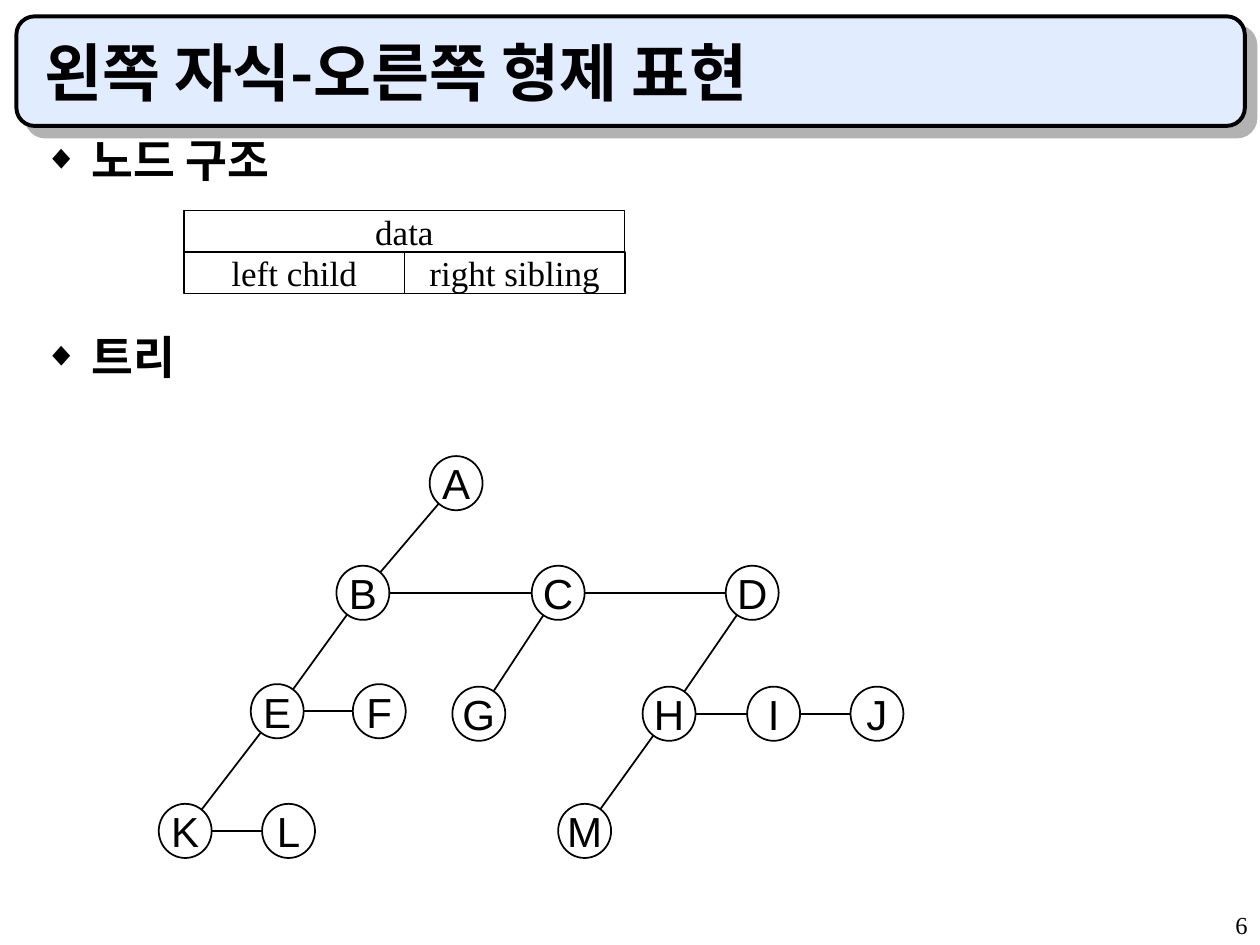
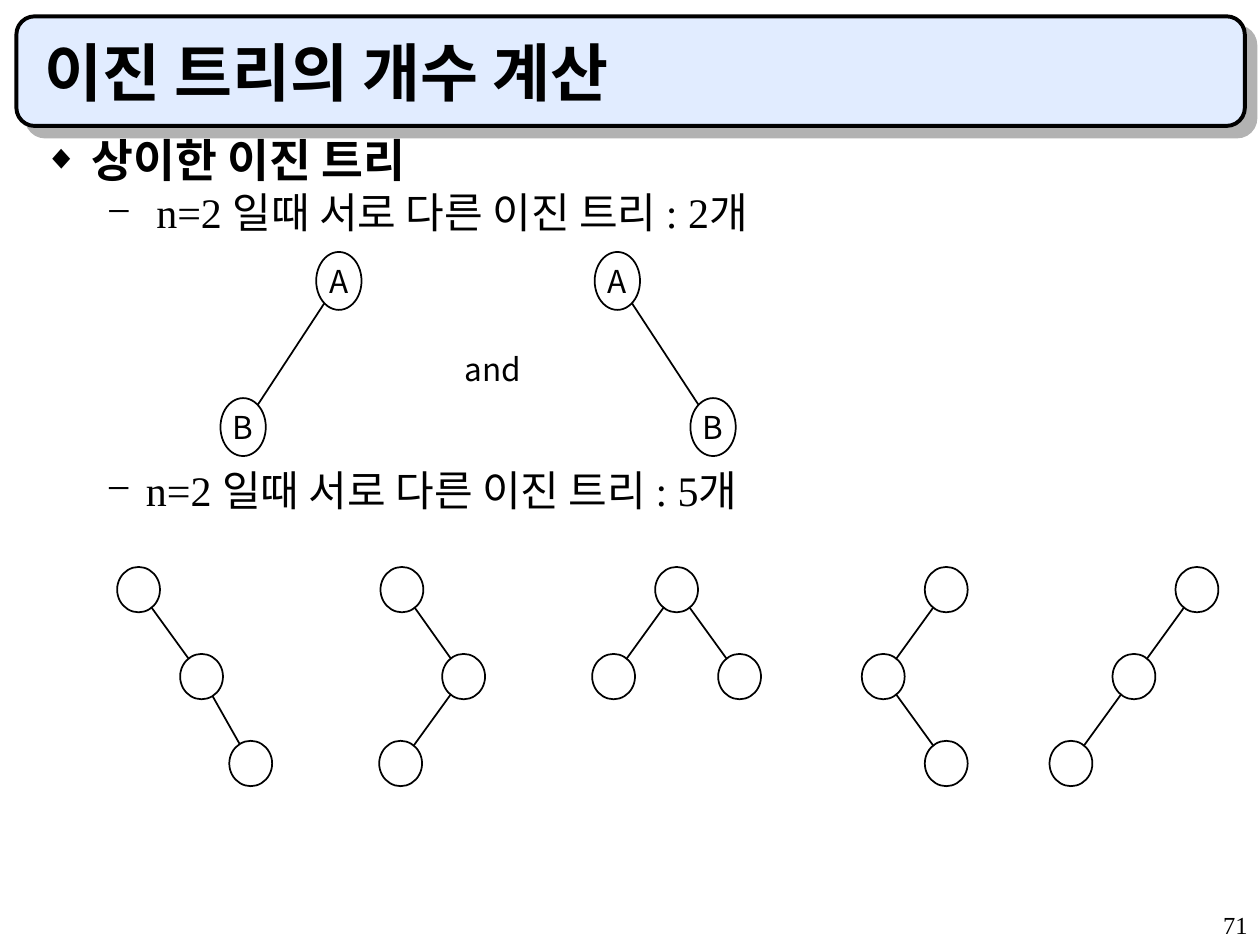
from dataclasses import dataclass
from math import hypot

from lxml.etree import SubElement
from pptx import Presentation
from pptx.dml.color import RGBColor
from pptx.enum.shapes import MSO_CONNECTOR as Connector, MSO_SHAPE as Preset
from pptx.enum.text import MSO_ANCHOR as Anchor, MSO_AUTO_SIZE as AutoSize, PP_ALIGN as Align
from pptx.oxml.ns import qn
from pptx.util import Inches, Pt


@dataclass(frozen=True)
class Theme:
    ink: str = "000000"
    paper: str = "FFFFFF"
    band: str = "E1ECFF"
    shadow: str = "B2B2B2"
    sans: str = "Noto Sans CJK KR"
    serif: str = "Times New Roman"
    tree_font: str = "Arial"
    title_size: int = 36
    topic_size: int = 26
    detail_size: int = 24
    field_size: int = 20
    label_size: int = 18
    number_size: int = 14


class Deck:
    def __init__(self, theme):
        self.theme = theme
        self.prs = Presentation()
        self.prs.slide_width, self.prs.slide_height = Inches(10), Inches(7.5)
        self.layout = self.prs.slide_layouts[1]
        self.slide = None

    def start(self, title, number):
        first = self.slide is None
        self.slide = self.prs.slides.add_slide(self.layout)
        if first:
            self.band()
        heading = self.slide.shapes.title
        self.place(heading, 0.25, 0.25, 9.42, 0.67)
        frame = heading.text_frame
        frame.auto_size, frame.vertical_anchor = AutoSize.NONE, Anchor.BOTTOM
        frame.paragraphs[0].alignment = Align.LEFT
        self.run(frame.paragraphs[0], title, self.theme.title_size, self.theme.sans, bold=True)
        self.label(number, (7.92, 7.17, 2.08, 0.33), self.theme.number_size,
                   self.theme.serif, Align.RIGHT)

    def band(self):
        band = self.shape(Preset.ROUNDED_RECTANGLE, (0.13, 0.13, 9.75, 0.87), 2.25, self.theme.band)
        effects = band.element.spPr.find(qn("a:effectLst"))
        shadow = SubElement(effects, qn("a:outerShdw"), dist=str(Pt(8.5)), dir="2700000",
                            algn="tl", rotWithShape="0")
        SubElement(shadow, qn("a:srgbClr"), val=self.theme.shadow)
        self.layout.shapes.element.insert(2, band.element)

    @staticmethod
    def place(shape, left, top, width, height):
        shape.left, shape.top = Inches(left), Inches(top)
        shape.width, shape.height = Inches(width), Inches(height)

    def run(self, paragraph, text, size, font, bold=False):
        run = paragraph.add_run()
        run.text = text
        run.font.size, run.font.bold, run.font.name = Pt(size), bold, font
        run.font.color.rgb = RGBColor.from_string(self.theme.ink)
        SubElement(run.font._element, qn("a:ea"), typeface=self.theme.sans)

    def bullet(self, paragraph, mark, margin, hanging, percent=100):
        props = paragraph._p.get_or_add_pPr()
        props.set("marL", str(Inches(margin)))
        props.set("indent", str(-Inches(hanging)))
        color = SubElement(props, qn("a:buClr"))
        SubElement(color, qn("a:srgbClr"), val=self.theme.ink)
        SubElement(props, qn("a:buSzPct"), val=str(percent * 1000))
        SubElement(props, qn("a:buFont"), typeface=self.theme.serif)
        SubElement(props, qn("a:buChar"), char=mark)

    def body(self, height):
        outline = self.slide.placeholders[1]
        self.place(outline, 0.25, 1.08, 9.42, height)
        outline.text_frame.auto_size = AutoSize.NONE
        return outline.text_frame

    def topic(self, paragraph, text, before=0):
        self.bullet(paragraph, "◆", 0.38, 0.38, 75)
        paragraph.line_spacing, paragraph.space_before = 0.8, Pt(before)
        self.run(paragraph, text, self.theme.topic_size, self.theme.serif, bold=True)

    def detail(self, paragraph, text, margin, hanging, spacing, before=0):
        paragraph.level = 1
        self.bullet(paragraph, "−", margin, hanging)
        paragraph.line_spacing, paragraph.space_before = spacing, Pt(before)
        self.run(paragraph, text, self.theme.detail_size, self.theme.serif)

    def text_box(self, bounds, wrap=True):
        frame = self.slide.shapes.add_textbox(*map(Inches, bounds)).text_frame
        frame.word_wrap = wrap
        return frame

    def label(self, text, bounds, size, font, align=Align.LEFT, wrap=True):
        paragraph = self.text_box(bounds, wrap).paragraphs[0]
        paragraph.alignment = align
        self.run(paragraph, text, size, font)

    def shape(self, preset, bounds, weight, fill=None):
        shape = self.slide.shapes.add_shape(preset, *map(Inches, bounds))
        shape.shadow.inherit = False
        if fill:
            shape.fill.solid()
            shape.fill.fore_color.rgb = RGBColor.from_string(fill)
        else:
            shape.fill.background()
        shape.line.color.rgb = RGBColor.from_string(self.theme.ink)
        shape.line.width = Pt(weight)
        return shape

    def caption(self, shape, text, size, font):
        frame = shape.text_frame
        frame.word_wrap, frame.vertical_anchor = False, Anchor.MIDDLE
        frame.paragraphs[0].alignment = Align.CENTER
        self.run(frame.paragraphs[0], text, size, font)

    def field(self, text, left, top, width):
        cell = self.shape(Preset.RECTANGLE, (left, top, width, 0.33), 0.75, self.theme.paper)
        self.caption(cell, text, self.theme.field_size, self.theme.serif)

    def line(self, start, end):
        line = self.slide.shapes.add_connector(Connector.STRAIGHT, *map(Inches, (*start, *end)))
        line.line.color.rgb = RGBColor.from_string(self.theme.ink)
        line.line.width = Pt(1)
        SubElement(line.element.spPr, qn("a:effectLst"))

    def tree(self, nodes, links, node_size, text_size=None, font=None):
        width, height = node_size
        for name, (left, top) in nodes.items():
            node = self.shape(Preset.OVAL, (left, top, width, height), 1)
            if text_size:
                self.caption(node, name, text_size, font)
        for upper, lower in links:
            (x1, y1), (x2, y2) = nodes[upper], nodes[lower]
            dx, dy = x2 - x1, y2 - y1
            reach = 1 / hypot(2 * dx / width, 2 * dy / height)
            x1, x2 = x1 + width / 2, x2 + width / 2
            y1, y2 = y1 + height / 2, y2 + height / 2
            self.line((x1 + dx * reach, y1 + dy * reach), (x2 - dx * reach, y2 - dy * reach))


def sibling_slide(deck):
    theme = deck.theme
    deck.start("왼쪽 자식-오른쪽 형제 표현", "6")
    outline = deck.body(5.9)
    deck.topic(outline.paragraphs[0], "노드 구조")
    deck.topic(outline.add_paragraph(), "트리", before=88)

    deck.field("data", 1.46, 1.67, 3.5)
    deck.field("left child", 1.46, 2, 1.75)
    deck.field("right sibling", 3.21, 2, 1.75)

    levels = [
        (3.62, {"A": 3.41}),
        (4.49, {"B": 2.67, "C": 4.22, "D": 5.76}),
        (5.43, {"E": 1.99, "F": 2.8}),
        (5.45, {"G": 3.59, "H": 5.1, "I": 5.93, "J": 6.75}),
        (6.38, {"K": 1.26, "L": 2.08, "M": 4.43}),
    ]
    nodes = {name: (left, top) for top, row in levels for name, left in row.items()}
    links = "AB BE EK BC EF CG CD DH HM HI IJ KL".split()
    deck.tree(nodes, links, (0.42, 0.43), theme.detail_size, theme.tree_font)


def counting_slide(deck):
    theme = deck.theme
    deck.start("이진 트리의 개수 계산", "71")
    outline = deck.body(5.83)
    deck.topic(outline.paragraphs[0], "상이한 이진 트리")
    deck.detail(outline.add_paragraph(), "n=2 일때 서로 다른 이진 트리 : 2개", 0.89, 0.39, 0.8, 6)

    for root_left, child_left in ((2.51, 1.75), (4.72, 5.48)):
        pair = {"A": (root_left, 2), "B": (child_left, 3.16)}
        deck.tree(pair, ["AB"], (0.36, 0.46), theme.label_size, theme.sans)
    deck.label("and", (3.59, 2.73, 0.65, 0.4), theme.label_size, theme.sans, wrap=False)

    five_trees = deck.text_box((0.25, 3.75, 9.5, 0.42)).paragraphs[0]
    five_trees.alignment = Align.JUSTIFY
    deck.detail(five_trees, "n=2 일때 서로 다른 이진 트리 : 5개", 0.81, 0.31, 0.7)

    chain, fork = ((0, 1, 2), [(0, 1), (1, 2)]), ((0, 1, 1), [(0, 1), (0, 2)])
    shapes_of_three = [
        ((0.93, 1.43, 1.82), chain),
        ((3.02, 3.51, 3.01), chain),
        ((5.2, 5.7, 4.7), fork),
        ((7.34, 6.84, 7.34), chain),
        ((9.33, 8.83, 8.33), chain),
    ]
    for lefts, (depths, links) in shapes_of_three:
        nodes = {i: (left, 4.5 + 0.69 * depth)
                 for i, (left, depth) in enumerate(zip(lefts, depths))}
        deck.tree(nodes, links, (0.34, 0.36))


def main():
    deck = Deck(Theme())
    sibling_slide(deck)
    counting_slide(deck)
    deck.prs.save("out.pptx")


if __name__ == "__main__":
    main()
